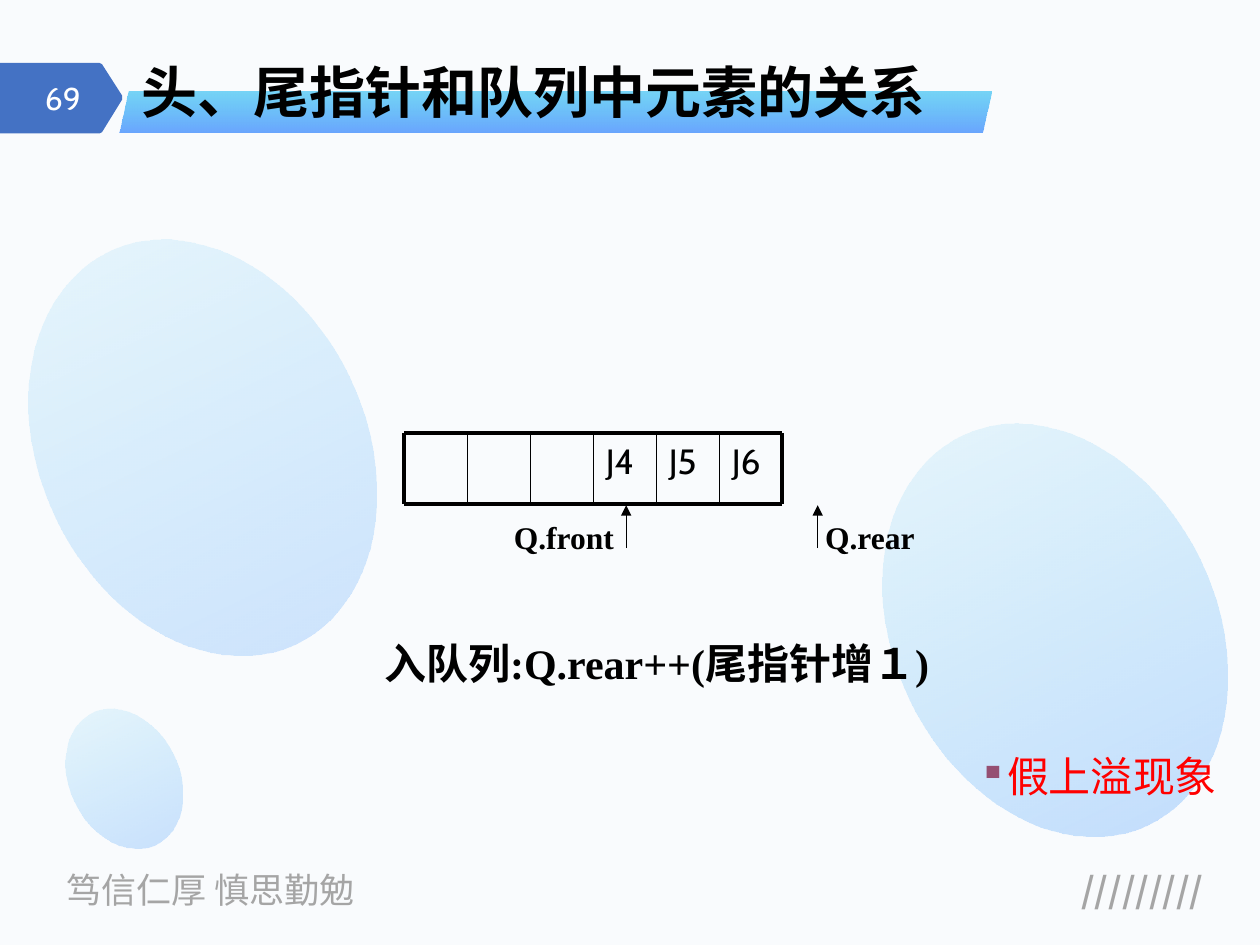
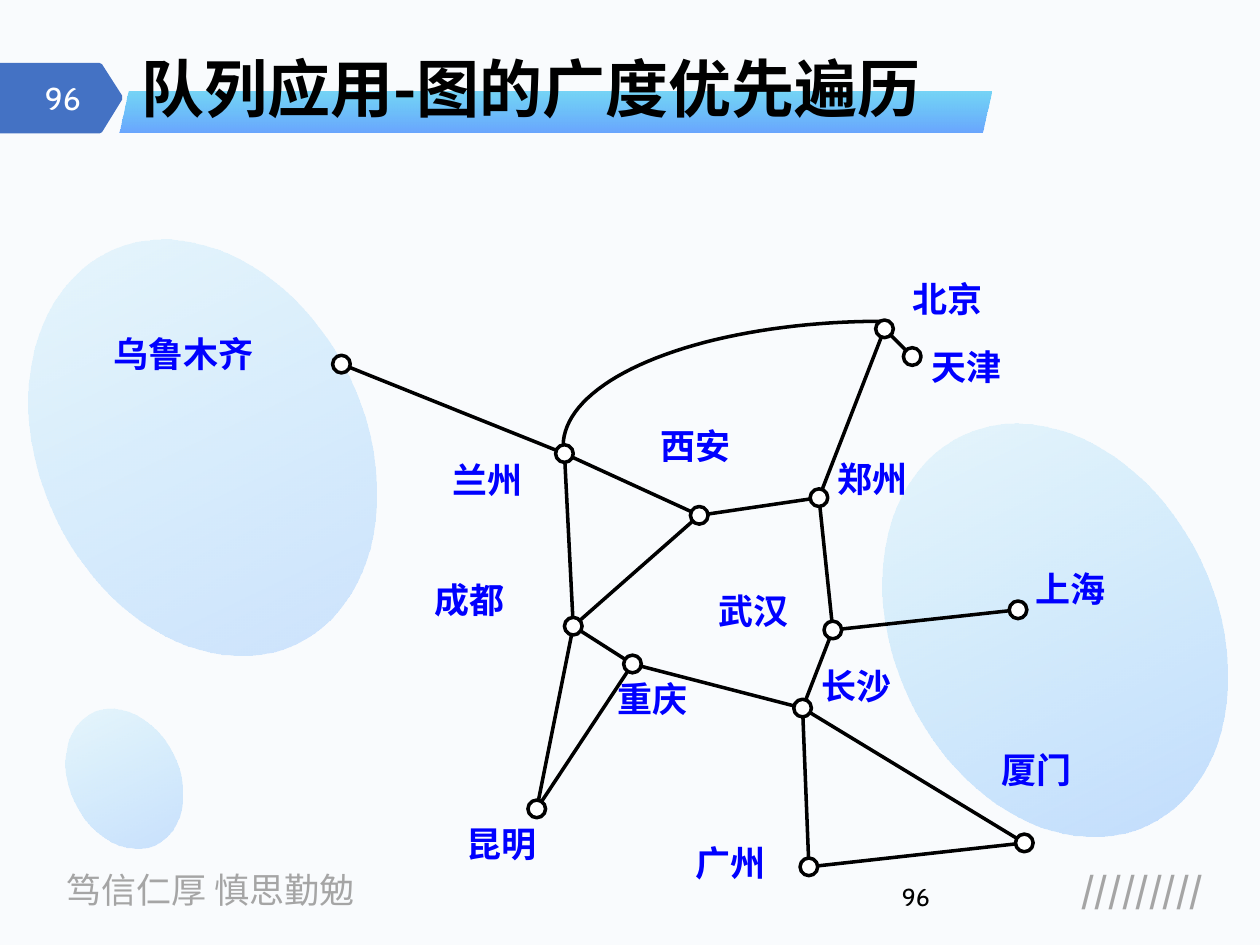
from math import cos, hypot, pi, sin

from lxml.etree import SubElement
from pptx import Presentation
from pptx.dml.color import RGBColor
from pptx.enum.shapes import MSO_CONNECTOR, MSO_SHAPE
from pptx.enum.text import MSO_ANCHOR, PP_ALIGN as ALIGN
from pptx.oxml.ns import qn
from pptx.util import Inches, Pt

rgb = RGBColor.from_string
BLACK, WHITE, GREY = "000000", "FFFFFF", "A5A5A5"
BADGE, SKY, AZURE = "4472C4", "00B0F0", "3385FF"
CITY_BLUE, RED, PLUM = "0000FF", "FF0000", "954F72"
CABIN, SERIF, HAN = "Cabin", "Times New Roman", "Noto Sans CJK SC"


def write(shape, text, size, font, color, bold=False, align=None):
    paragraph = shape.text_frame.paragraphs[0]
    paragraph.alignment = align
    run = paragraph.add_run()
    run.text = text
    run.font.size = Pt(size)
    run.font.bold = bold
    run.font.name = font
    run.font.color.rgb = rgb(color)
    SubElement(run._r.get_or_add_rPr(), qn("a:ea"), typeface=HAN)
    return paragraph


def add_line(slide, x1, y1, x2, y2, weight, arrow=False):
    line = slide.shapes.add_connector(
        MSO_CONNECTOR.STRAIGHT, Inches(x1), Inches(y1), Inches(x2), Inches(y2))
    line.line.color.rgb = rgb(BLACK)
    line.line.width = Pt(weight)
    properties = line._element.spPr
    if arrow:
        SubElement(properties.find(qn("a:ln")), qn("a:tailEnd"), type="triangle")
    SubElement(properties, qn("a:effectLst"))


prs = Presentation()
prs.slide_width, prs.slide_height = Inches(10), Inches(7.5)

OVAL, BAND = MSO_SHAPE.OVAL, MSO_SHAPE.PARALLELOGRAM
backdrop = [
    (OVAL, (0.55, 5.6, 0.87, 1.16), 154.4, ((AZURE, 24), (SKY, 8))),
    (OVAL, (7.09, 3.29, 2.56, 3.42), 154.4, ((AZURE, 27), (SKY, 8))),
    (OVAL, (0.32, 1.83, 2.58, 3.44), 154.4, ((AZURE, 22), (SKY, 8))),
    (BAND, (0.95, 0.73, 6.92, 0.32), 0, ((SKY, 52), (AZURE, 73))),
]
badge_outline = [(0, 0.5), (0.79, 0.5), (0.81, 0.51), (0.97, 0.76),
                 (0.97, 0.79), (0.81, 1.05), (0.79, 1.06), (0, 1.06)]
headings = [("69", "头、尾指针和队列中元素的关系", 32),
            ("96", "队列应用-图的广度优先遍历", 36)]

slides = []
for number, heading, heading_size in headings:
    slide = prs.slides.add_slide(prs.slide_layouts[5])
    slides.append(slide)
    slide.background.fill.solid()
    slide.background.fill.fore_color.rgb = rgb("F9FBFD")

    for preset, box, rotation, stops in backdrop:
        decor = slide.shapes.add_shape(preset, *map(Inches, box))
        decor.shadow.inherit = False
        decor.rotation = rotation
        decor.line.fill.background()
        decor.fill.gradient()
        decor.fill.gradient_angle = 270
        for stop, (color, opacity) in zip(decor.fill.gradient_stops, stops):
            stop.color.rgb = rgb(color)
        tints = decor._element.spPr.iter(qn("a:srgbClr"))
        for tint, (color, opacity) in zip(list(tints), stops):
            SubElement(tint, qn("a:alpha"), val=str(opacity * 1000))
        if preset == BAND:
            decor.adjustments[0] = 0.233

    corners = [(Inches(x), Inches(y)) for x, y in badge_outline]
    builder = slide.shapes.build_freeform(*corners[0])
    builder.add_line_segments(corners[1:])
    badge = builder.convert_to_shape()
    badge.shadow.inherit = False
    badge.fill.solid()
    badge.fill.fore_color.rgb = rgb(BADGE)
    badge.line.fill.background()

    for box, text, size, font, color, bold, align in [
        ((0.43, 6.84, 2.7, 0.44), "笃信仁厚 慎思勤勉", 20, HAN, GREY, False, None),
        ((7.67, 6.84, 1.98, 0.44), "/////////", 20, HAN, GREY, True, ALIGN.RIGHT),
        ((0.1, 0.58, 0.64, 0.4), number, 18, CABIN, WHITE, False, ALIGN.RIGHT),
    ]:
        label = slide.shapes.add_textbox(*map(Inches, box))
        label.text_frame.word_wrap = True
        write(label, text, size, font, color, bold, align)
    label.text_frame.vertical_anchor = MSO_ANCHOR.MIDDLE

    title = slide.shapes.title
    title.left, title.top, title.width, title.height = map(Inches, (1.02, 0.4, 6.85, 0.65))
    title.text_frame.vertical_anchor = MSO_ANCHOR.BOTTOM
    write(title, heading, heading_size, HAN, BLACK, True, ALIGN.LEFT).line_spacing = 0.9
    slide.shapes._spTree.append(title._element)

queue, graph = slides

CELL, QUEUE_LEFT, QUEUE_TOP, QUEUE_BOTTOM = 0.5, 3.21, 3.44, 4
QUEUE_RIGHT = QUEUE_LEFT + 6 * CELL
for y in (QUEUE_TOP, QUEUE_BOTTOM):
    add_line(queue, QUEUE_LEFT, y, QUEUE_RIGHT, y, 2.25)
for i in range(7):
    x = QUEUE_LEFT + i * CELL
    add_line(queue, x, QUEUE_TOP, x, QUEUE_BOTTOM, 2.25 if i in (0, 6) else 1)
for pointer_x in (4.97, 6.49):
    add_line(queue, pointer_x, 4.35, pointer_x, 4.01, 0.75, arrow=True)

jobs = [((QUEUE_LEFT + i * CELL, QUEUE_TOP, CELL, 0.57), f"J{i + 1}", 20, CABIN, BLACK, False)
        for i in (3, 4, 5)]
for box, text, size, font, color, bold in jobs + [
    ((3.98, 4.06, 1.1, 0.4), "Q.front", 18, SERIF, BLACK, True),
    ((6.45, 4.06, 0.92, 0.4), "Q.rear", 18, SERIF, BLACK, True),
    ((2.95, 5.01, 4.55, 0.5), "入队列:Q.rear++(尾指针增１)", 24, SERIF, BLACK, True),
    ((7.67, 5.95, 2.33, 0.46), "假上溢现象", 24, CABIN, RED, False),
]:
    note = queue.shapes.add_textbox(*map(Inches, box))
    note.text_frame.word_wrap = text != "Q.rear"
    paragraph = write(note, text, size, font, color, bold)

paragraph.alignment = ALIGN.JUSTIFY
paragraph.line_spacing = 0.9
overflow = paragraph._p.get_or_add_pPr()
SubElement(SubElement(overflow, qn("a:buClr")), qn("a:srgbClr"), val=PLUM)
SubElement(overflow, qn("a:buSzPct"), val="90000")
SubElement(overflow, qn("a:buChar"), char="▪")

page = graph.shapes.add_textbox(Inches(7.06), Inches(6.95), Inches(2.25), Inches(0.4))
page.text_frame.word_wrap = True
write(page, "96", 14, CABIN, BLACK)

RADIUS = 0.07
cities = {
    "乌鲁木齐": ((2.71, 2.89), (0.9, 2.64)),
    "兰州": ((4.48, 3.6), (3.59, 3.64)),
    "西安": ((5.55, 4.09), (5.24, 3.37)),
    "郑州": ((6.5, 3.95), (6.65, 3.63)),
    "北京": ((7.02, 2.61), (7.24, 2.2)),
    "天津": ((7.24, 2.83), (7.39, 2.74)),
    "成都": ((4.55, 4.97), (3.45, 4.59)),
    "重庆": ((5.02, 5.27), (4.9, 5.38)),
    "昆明": ((4.26, 6.42), (3.7, 6.53)),
    "武汉": ((6.61, 5), (5.7, 4.68)),
    "长沙": ((6.37, 5.62), (6.52, 5.27)),
    "上海": ((8.08, 4.84), (8.22, 4.5)),
    "广州": ((6.42, 6.88), (5.52, 6.68)),
    "厦门": ((8.13, 6.69), (7.95, 5.94)),
}
routes = [
    ("北京", "天津"), ("兰州", "西安"), ("成都", "重庆"), ("成都", "昆明"),
    ("重庆", "昆明"), ("西安", "成都"), ("兰州", "成都"), ("重庆", "长沙"),
    ("长沙", "广州"), ("西安", "郑州"), ("郑州", "武汉"), ("武汉", "长沙"),
    ("武汉", "上海"), ("北京", "郑州"), ("长沙", "厦门"), ("厦门", "广州"),
    ("乌鲁木齐", "兰州"),
]
for start, end in routes:
    (x1, y1), (x2, y2) = cities[start][0], cities[end][0]
    trim = RADIUS / hypot(x2 - x1, y2 - y1)
    dx, dy = (x2 - x1) * trim, (y2 - y1) * trim
    add_line(graph, x1 + dx, y1 + dy, x2 - dx, y2 - dy, 2)

STEPS = 40
angles = [pi / 2 * i / STEPS for i in range(STEPS + 1)]
bend = [(Inches(7 - 2.53 * sin(a)), Inches(3.54 - 0.99 * cos(a))) for a in angles]
builder = graph.shapes.build_freeform(*bend[0])
builder.add_line_segments(bend[1:], close=False)
curved_route = builder.convert_to_shape()
curved_route.shadow.inherit = False
curved_route.fill.background()
curved_route.line.color.rgb = rgb(BLACK)
curved_route.line.width = Pt(2)

for city, ((x, y), (label_x, label_y)) in cities.items():
    node = graph.shapes.add_shape(
        OVAL, Inches(x - RADIUS), Inches(y - RADIUS), Inches(2 * RADIUS), Inches(2 * RADIUS))
    node.shadow.inherit = False
    node.fill.solid()
    node.fill.fore_color.rgb = rgb(WHITE)
    node.line.color.rgb = rgb(BLACK)
    node.line.width = Pt(2)

    label_width = 1.68 if len(city) > 2 else 0.96
    name = graph.shapes.add_textbox(
        Inches(label_x), Inches(label_y), Inches(label_width), Inches(0.68))
    frame = name.text_frame
    frame.word_wrap = True
    frame.margin_left = frame.margin_top = frame.margin_right = frame.margin_bottom = 0
    write(name, city, 20, HAN, CITY_BLUE, True, ALIGN.JUSTIFY)

prs.save("out.pptx")
